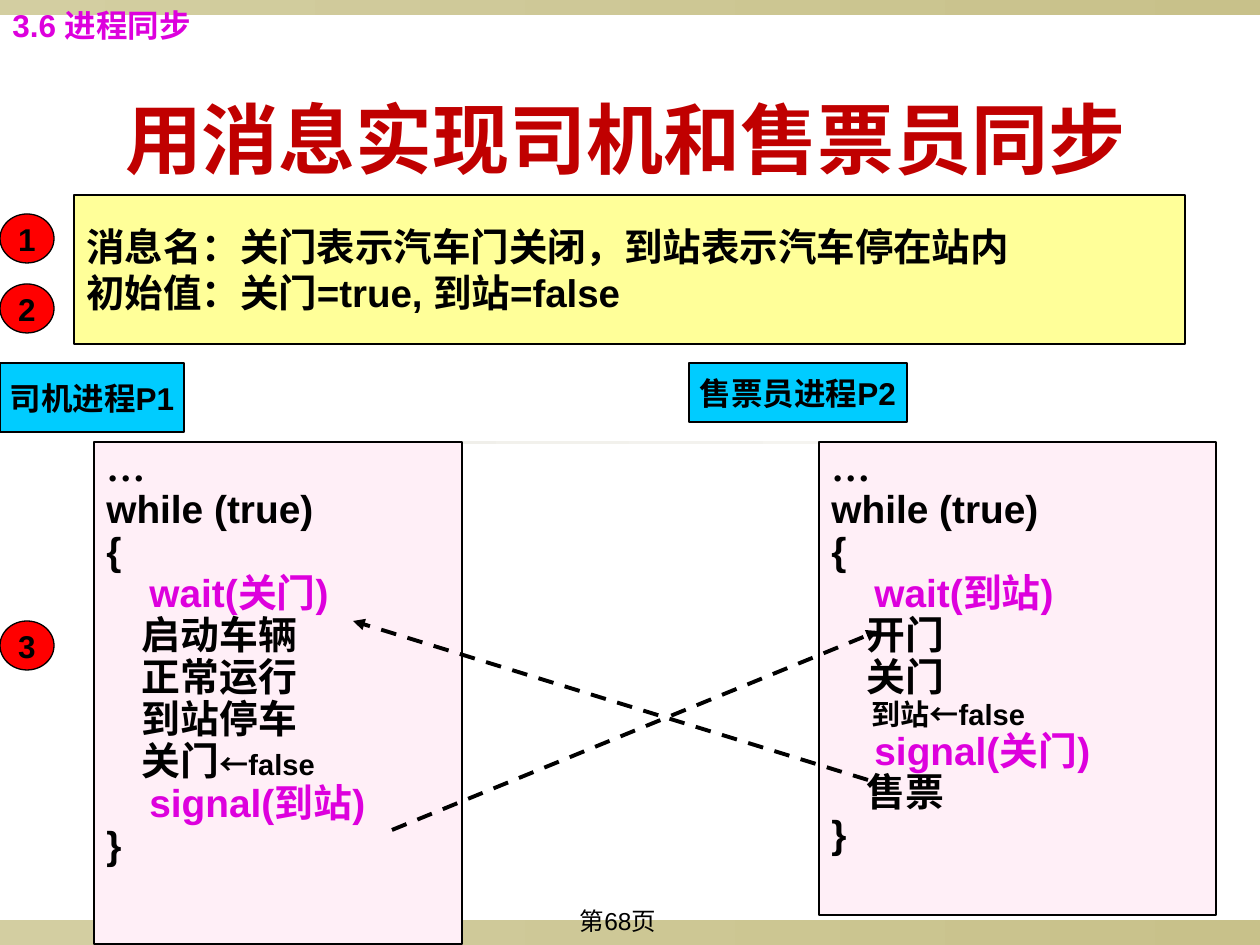
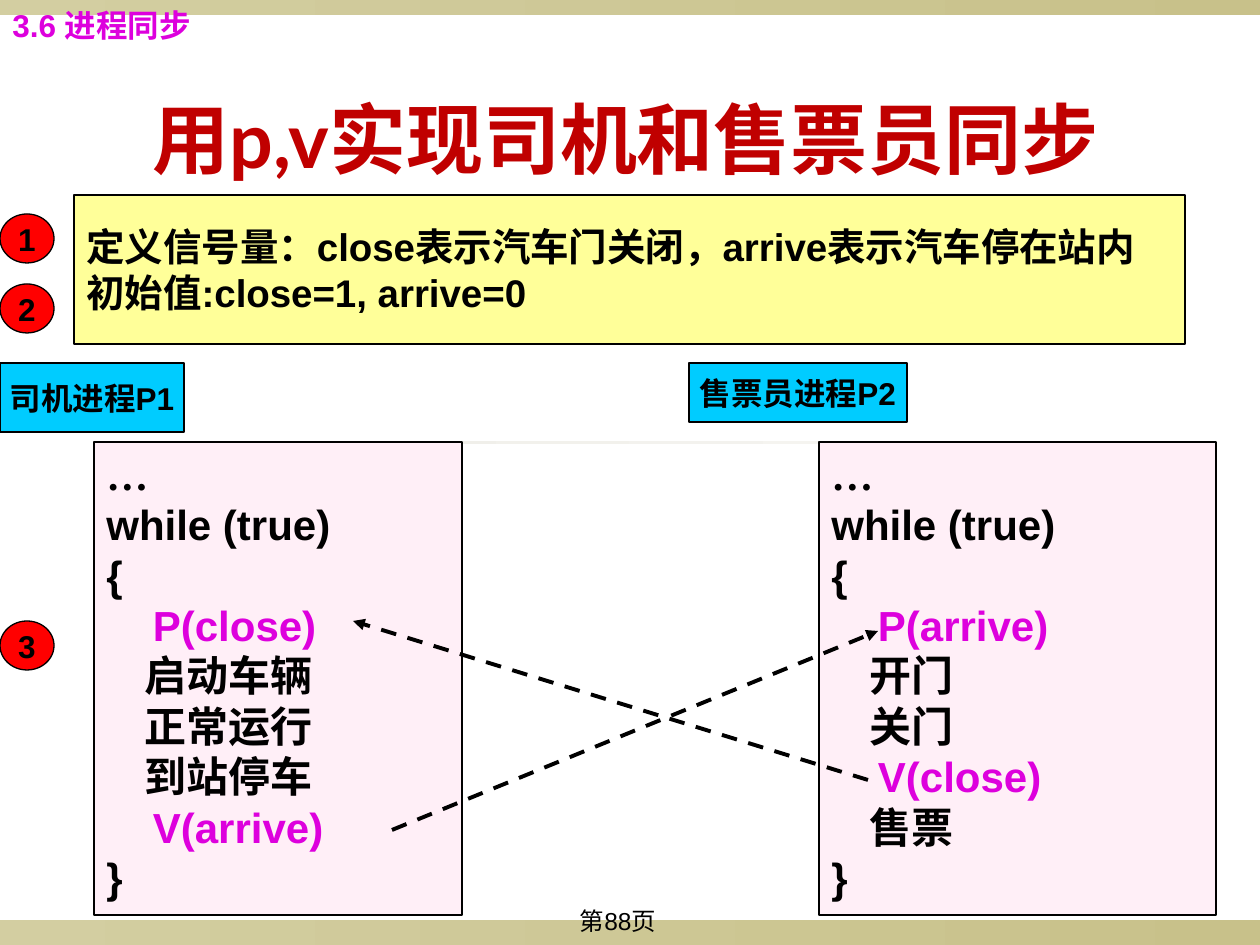
from lxml import etree
from pptx import Presentation
from pptx.dml.color import RGBColor
from pptx.enum.dml import MSO_LINE
from pptx.enum.shapes import MSO_CONNECTOR, MSO_SHAPE
from pptx.enum.text import MSO_ANCHOR, MSO_AUTO_SIZE, PP_ALIGN
from pptx.oxml.ns import qn
from pptx.util import Pt

RECT, OVAL = MSO_SHAPE.RECTANGLE, MSO_SHAPE.OVAL
STRAIGHT, DASH = MSO_CONNECTOR.STRAIGHT, MSO_LINE.DASH
TOP, MIDDLE = MSO_ANCHOR.TOP, MSO_ANCHOR.MIDDLE
LEFT, CENTER, JUSTIFY = PP_ALIGN.LEFT, PP_ALIGN.CENTER, PP_ALIGN.JUSTIFY
NO_FIT = MSO_AUTO_SIZE.NONE

COLORS = {
    "black": "000000", "title": "C00000", "sync": "DD00DD",
    "code_box": "FFEFF7", "label": "00CCFF", "note": "FFFF99", "badge": "FF0000",
    "band_dark": "C8C18A", "band_light": "D3CEA1",
    "rule_dark": "EDECE5", "rule_light": "F8F7F5",
}
BODY, TITLE, ELLIPSIS = "Arial", "Lato", "Times New Roman"

SECTION = "3.6 进程同步"
SECTION_BOX, TITLE_BOX = (0, 0, 233, 50), (59, 59, 1134, 158)
PAGE_BOX, NOTE_BOX = (471, 900, 294, 45), (74, 195, 1111, 149)
BANDS = [
    ((0, 920, 1260, 25), "band_light", "band_dark"),
    ((0, 0, 1260, 15), "band_light", "band_dark"),
    ((94, 441, 1071, 3), "rule_dark", "rule_light"),
]
LABELS = [("司机进程P1", (0, 363, 184, 69)), ("售票员进程P2", (689, 363, 218, 59))]
BADGES = [("1", 214), ("2", 284), ("3", 621)]
SIGNAL_ARROWS = [((868, 780), (353, 621)), ((392, 830), (878, 631))]
CODE_TOP, CODE_COLUMNS = 442, [(94, 368), (819, 397)]

CODE_STYLES = {
    "code": (BODY, "black", 1),
    "sync": (BODY, "sync", 1),
    "small": (BODY, "black", 0.75),
    "ellipsis": (ELLIPSIS, "black", 1),
}
OPENING = [[("ellipsis", "…")], [("code", "while (true)")], [("code", "{")]]
CLOSING = [[("code", "}")]]

SLIDES = [
    {
        "title": "用消息实现司机和售票员同步",
        "page": "第68页",
        "note": ["消息名：关门表示汽车门关闭，到站表示汽车停在站内",
                 "初始值：关门=true, 到站=false"],
        "size": 22.2, "spacing": 0.9, "heights": (502, 473),
        "driver": [
            [("sync", "    wait(关门)")],
            [("code", "    启动车辆")],
            [("code", "    正常运行")],
            [("code", "    到站停车")],
            [("code", "    关门"), ("small", "←false")],
            [("sync", "    signal(到站)")],
        ],
        "seller": [
            [("sync", "    wait(到站)")],
            [("code", "    开门")],
            [("code", "    关门")],
            [("small", "      到站←false")],
            [("sync", "    signal(关门)")],
            [("code", "    售票")],
        ],
    },
    {
        "title": "用p,v实现司机和售票员同步",
        "page": "第88页",
        "note": ["定义信号量：close表示汽车门关闭，arrive表示汽车停在站内",
                 "初始值:close=1, arrive=0"],
        "size": 24, "spacing": 1.0, "heights": (473, 473),
        "driver": [
            [("sync", "    P(close)")],
            [("code", "    启动车辆")],
            [("code", "    正常运行")],
            [("code", "    到站停车")],
            [("sync", "    V(arrive)")],
        ],
        "seller": [
            [("sync", "    P(arrive)")],
            [("code", "    开门")],
            [("code", "    关门")],
            [("sync", "    V(close)")],
            [("code", "    售票")],
        ],
    },
]


def px(n):
    return round(n * 914400 / 126)


def rgb(name):
    return RGBColor.from_string(COLORS[name])


def add_run(p, text, size, color="black", font=BODY, bold=True):
    r = p.add_run()
    r.text = text
    r.font.name, r.font.size, r.font.bold = font, Pt(size), bold
    r.font.color.rgb = rgb(color)


def set_frame(sp, anchor, wrap):
    tf = sp.text_frame
    tf.auto_size, tf.word_wrap, tf.vertical_anchor = NO_FIT, wrap, anchor
    return tf


def add_paragraph(tf, i, align):
    p = tf.add_paragraph() if i else tf.paragraphs[0]
    p.alignment = align
    return p


def add_box(slide, kind, box, fill):
    sp = slide.shapes.add_shape(kind, *map(px, box))
    sp.shadow.inherit = False
    sp.fill.solid()
    sp.fill.fore_color.rgb = rgb(fill)
    sp.line.color.rgb = rgb("black")
    sp.line.width = Pt(0.75)
    return sp


def add_band(slide, box, start, end):
    sp = slide.shapes.add_shape(RECT, *map(px, box))
    sp.shadow.inherit = False
    sp.line.fill.background()
    sp.fill.gradient()
    sp.fill.gradient_angle = 0
    for stop, color in zip(sp.fill.gradient_stops, (start, end)):
        stop.color.rgb = rgb(color)


def add_label(slide, kind, box, fill, lines, size=18, align=CENTER):
    tf = set_frame(add_box(slide, kind, box, fill), MIDDLE, False)
    for i, line in enumerate(lines):
        add_run(add_paragraph(tf, i, align), line, size)


def add_text(slide, box, text, size, align, **style):
    sp = slide.shapes.add_textbox(*map(px, box))
    tf = set_frame(sp, TOP, True)
    add_run(add_paragraph(tf, 0, align), text, size, **style)


def add_code(slide, box, lines, size, spacing):
    tf = set_frame(add_box(slide, RECT, box, "code_box"), TOP, True)
    for i, line in enumerate(lines):
        p = add_paragraph(tf, i, LEFT if i else JUSTIFY)
        p.line_spacing = spacing
        for style, text in line:
            font, color, scale = CODE_STYLES[style]
            add_run(p, text, size * scale, color, font)


def add_arrow(slide, start, end):
    c = slide.shapes.add_connector(STRAIGHT, *map(px, start + end))
    c.line.color.rgb = rgb("black")
    c.line.width = Pt(2.25)
    c.line.dash_style = DASH
    etree.SubElement(c.line._get_or_add_ln(), qn("a:tailEnd"), type="triangle")
    etree.SubElement(c._element.spPr, qn("a:effectLst"))


def set_title(slide, text):
    sp = slide.shapes.title
    sp.left, sp.top, sp.width, sp.height = map(px, TITLE_BOX)
    tf = set_frame(sp, MIDDLE, True)
    add_run(add_paragraph(tf, 0, CENTER), text, 44, "title", TITLE)


def build_slide(prs, content):
    slide = prs.slides.add_slide(prs.slide_layouts[5])
    for band in BANDS:
        add_band(slide, *band)
    add_text(slide, PAGE_BOX, content["page"], 14, CENTER, bold=False)
    set_title(slide, content["title"])
    programs = content["driver"], content["seller"]
    for (x, w), h, body in zip(CODE_COLUMNS, content["heights"], programs):
        add_code(slide, (x, CODE_TOP, w, h), OPENING + body + CLOSING,
                 content["size"], content["spacing"])
    for text, box in LABELS:
        add_label(slide, RECT, box, "label", [text])
    add_text(slide, SECTION_BOX, SECTION, 18, LEFT, color="sync")
    add_label(slide, RECT, NOTE_BOX, "note", content["note"], 22, LEFT)
    for text, y in BADGES:
        add_label(slide, OVAL, (0, y, 54, 49), "badge", [text])
    for start, end in SIGNAL_ARROWS:
        add_arrow(slide, start, end)


def main():
    prs = Presentation()
    prs.slide_width, prs.slide_height = px(1260), px(945)
    for content in SLIDES:
        build_slide(prs, content)
    prs.save("out.pptx")


if __name__ == "__main__":
    main()
